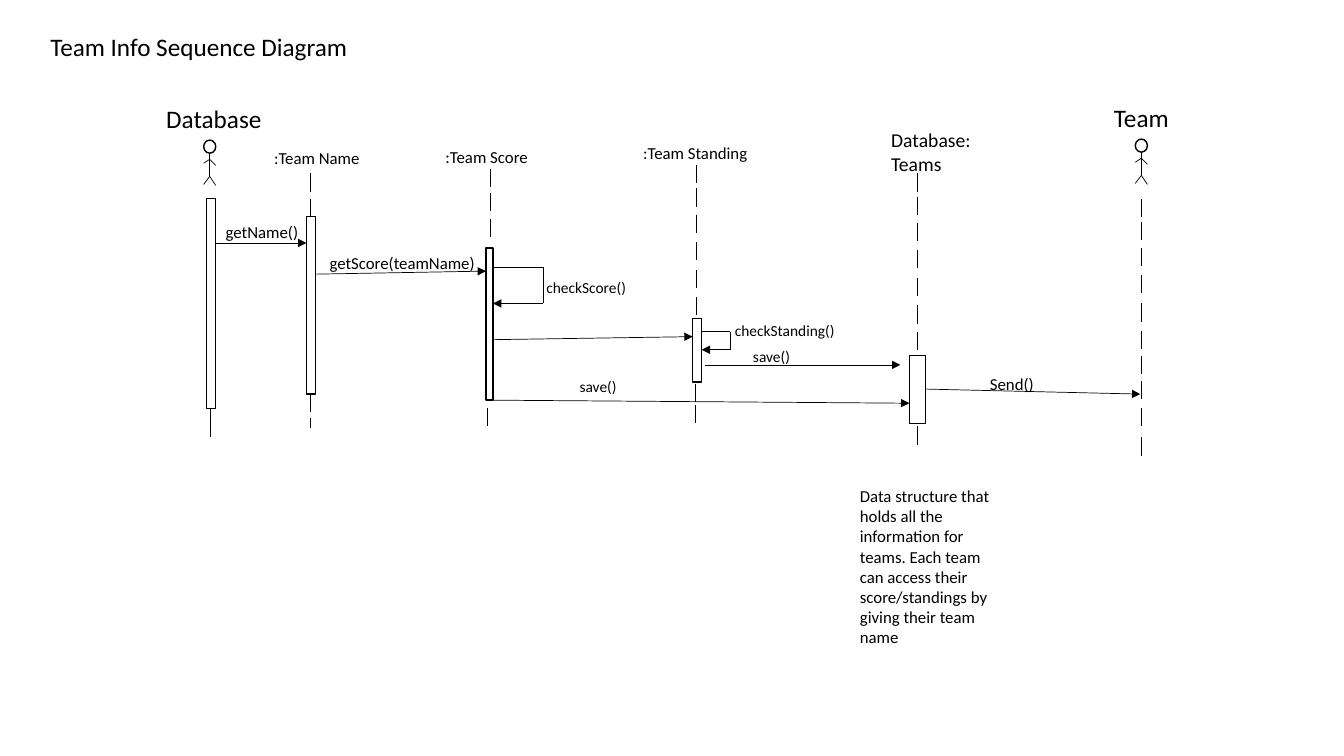
from dataclasses import dataclass

from pptx import Presentation
from pptx.dml.color import RGBColor
from pptx.enum.shapes import MSO_CONNECTOR, MSO_SHAPE
from pptx.enum.text import MSO_AUTO_SIZE
from pptx.oxml.ns import qn
from pptx.util import Inches, Pt
from lxml.etree import SubElement


@dataclass(frozen=True)
class Theme:
    font: str = "Calibri"
    ink: RGBColor = RGBColor(0, 0, 0)
    paper: RGBColor = RGBColor(255, 255, 255)
    title: int = 18
    store: int = 14
    label: int = 12
    small: int = 11
    thin: float = 0.5
    bold: float = 1


@dataclass(frozen=True)
class Label:
    text: str
    left: float
    top: float
    width: float
    height: float
    size: int


@dataclass(frozen=True)
class Actor:
    x: float
    top: float


@dataclass(frozen=True)
class Activation:
    left: float
    top: float
    width: float
    height: float


@dataclass(frozen=True)
class Lifeline:
    x: float
    top: float
    dashes: int
    later_dashes: tuple[float, ...] = ()


@dataclass(frozen=True)
class Message:
    x1: float
    y1: float
    x2: float
    y2: float


@dataclass(frozen=True)
class SelfCall:
    left: float
    right: float
    top: float
    bottom: float


THEME = Theme()
DASH = 0.18
DASH_OFFSETS = (0, 0.23, 0.49, 0.76, 1.04, 1.31, 1.57)

prs = Presentation()
prs.slide_width, prs.slide_height = Inches(13.33), Inches(7.5)
slide = prs.slides.add_slide(prs.slide_layouts[6])


def add_text(text: str, left: float, top: float, width: float, height: float,
             *, size: int) -> None:
    box = slide.shapes.add_textbox(Inches(left), Inches(top), Inches(width), Inches(height))
    frame = box.text_frame
    frame.word_wrap = True
    frame.auto_size = MSO_AUTO_SIZE.SHAPE_TO_FIT_TEXT
    paragraph = frame.paragraphs[0]
    paragraph.text = text
    for run in paragraph.runs:
        run.font.name = THEME.font
        run.font.size = Pt(size)
        run.font.color.rgb = THEME.ink


def add_line(x1: float, y1: float, x2: float, y2: float, *, arrow: bool = False) -> None:
    line = slide.shapes.add_connector(
        MSO_CONNECTOR.STRAIGHT, Inches(x1), Inches(y1), Inches(x2), Inches(y2))
    line.line.color.rgb = THEME.ink
    line.line.width = Pt(THEME.thin)
    if arrow:
        SubElement(line.line._get_or_add_ln(), qn("a:tailEnd"), type="triangle")
    SubElement(line._element.spPr, qn("a:effectLst"))


def add_outline(kind: MSO_SHAPE, left: float, top: float, width: float, height: float) -> None:
    outline = slide.shapes.add_shape(
        kind, Inches(left), Inches(top), Inches(width), Inches(height))
    outline.shadow.inherit = False
    outline.fill.solid()
    outline.fill.fore_color.rgb = THEME.paper
    outline.line.color.rgb = THEME.ink
    outline.line.width = Pt(THEME.bold)


def draw_actor(actor: Actor) -> None:
    x, top = actor.x, actor.top
    neck, shoulder, hip = top + 0.13, top + 0.19, top + 0.36
    add_outline(MSO_SHAPE.OVAL, x - 0.06, top, 0.12, 0.13)
    add_line(x, neck, x, hip)
    for joint, left_drop, right_drop in ((shoulder, 0.04, 0.06), (hip, 0.08, 0.09)):
        add_line(x, joint, x - 0.06, joint + left_drop)
        add_line(x, joint, x + 0.06, joint + right_drop)


def draw_lifeline(lifeline: Lifeline) -> None:
    tops = [lifeline.top + offset for offset in DASH_OFFSETS[:lifeline.dashes]]
    for top in (*tops, *lifeline.later_dashes):
        add_line(lifeline.x, top, lifeline.x, top + DASH)


def draw_self_call(call: SelfCall) -> None:
    add_line(call.left, call.top, call.right, call.top)
    add_line(call.right, call.top, call.right, call.bottom)
    add_line(call.right, call.bottom, call.left, call.bottom, arrow=True)


# Actors
for actor in (Actor(2.08, 1.39), Actor(11.32, 1.38)):
    draw_actor(actor)

# Lifelines
for lifeline in (
    Lifeline(3.08, 1.72, 1, (1.97, 3.91)),
    Lifeline(4.86, 1.68, 3),
    Lifeline(4.83, 4.05, 1),
    Lifeline(6.91, 1.64, 6),
    Lifeline(6.9, 3.81, 1, (4.02,)),
    Lifeline(9.1, 1.72, 7, (4.23,)),
    Lifeline(11.32, 1.97, 6, (3.53, 3.78, 4.05, 4.34)),
):
    draw_lifeline(lifeline)
add_line(2.09, 4.05, 2.09, 4.34)
add_line(3.08, 4.15, 3.08, 4.25)

# Activation bars
for bar in (
    Activation(2.05, 1.97, 0.09, 2.08),
    Activation(3.04, 2.15, 0.09, 1.76),
    Activation(4.82, 2.46, 0.07, 1.51),
    Activation(6.87, 3.16, 0.09, 0.63),
    Activation(9.02, 3.53, 0.16, 0.67),
):
    add_outline(MSO_SHAPE.RECTANGLE, bar.left, bar.top, bar.width, bar.height)

# Messages between participants
for message in (
    Message(2.14, 2.41, 3.04, 2.41),
    Message(3.13, 2.72, 4.82, 2.69),
    Message(4.89, 3.37, 6.87, 3.34),
    Message(6.99, 3.62, 8.93, 3.62),
    Message(4.86, 3.97, 9.02, 4),
    Message(9.18, 3.86, 11.31, 3.91),
):
    add_line(message.x1, message.y1, message.x2, message.y2, arrow=True)

# Checks a participant runs on itself
for call in (SelfCall(4.89, 5.39, 2.65, 3.01), SelfCall(6.96, 7.24, 3.29, 3.47)):
    draw_self_call(call)

# Title, participant names, message names and note
for label in (
    Label("Team Info Sequence Diagram", 0.4, 0.26, 5.28, 0.4, THEME.title),
    Label("Database", 1.55, 0.98, 1.18, 0.4, THEME.title),
    Label("Team", 10.95, 0.97, 1.19, 0.4, THEME.title),
    Label(":Team Name", 2.62, 1.42, 1.24, 0.3, THEME.label),
    Label(":Team Score", 4.32, 1.41, 1.15, 0.3, THEME.label),
    Label(":Team Standing", 6.28, 1.37, 1.29, 0.3, THEME.label),
    Label("Database: \nTeams", 8.74, 1.22, 1.45, 0.57, THEME.store),
    Label("getName()", 2.14, 2.15, 0.95, 0.3, THEME.label),
    Label("getScore(teamName)", 3.17, 2.46, 1.65, 0.3, THEME.label),
    Label("checkScore()", 5.32, 2.71, 1, 0.29, THEME.small),
    Label("checkStanding()", 7.19, 3.14, 1.23, 0.29, THEME.small),
    Label("save()", 7.37, 3.39, 1.23, 0.29, THEME.small),
    Label("save()", 5.65, 3.69, 1.23, 0.29, THEME.small),
    Label("Send()", 9.72, 3.66, 1.23, 0.3, THEME.label),
    Label("Data structure that holds all the information for teams. Each team can "
          "access their score/standings by giving their team name",
          8.43, 4.77, 1.49, 1.72, THEME.label),
):
    add_text(label.text, label.left, label.top, label.width, label.height, size=label.size)

prs.save("out.pptx")
